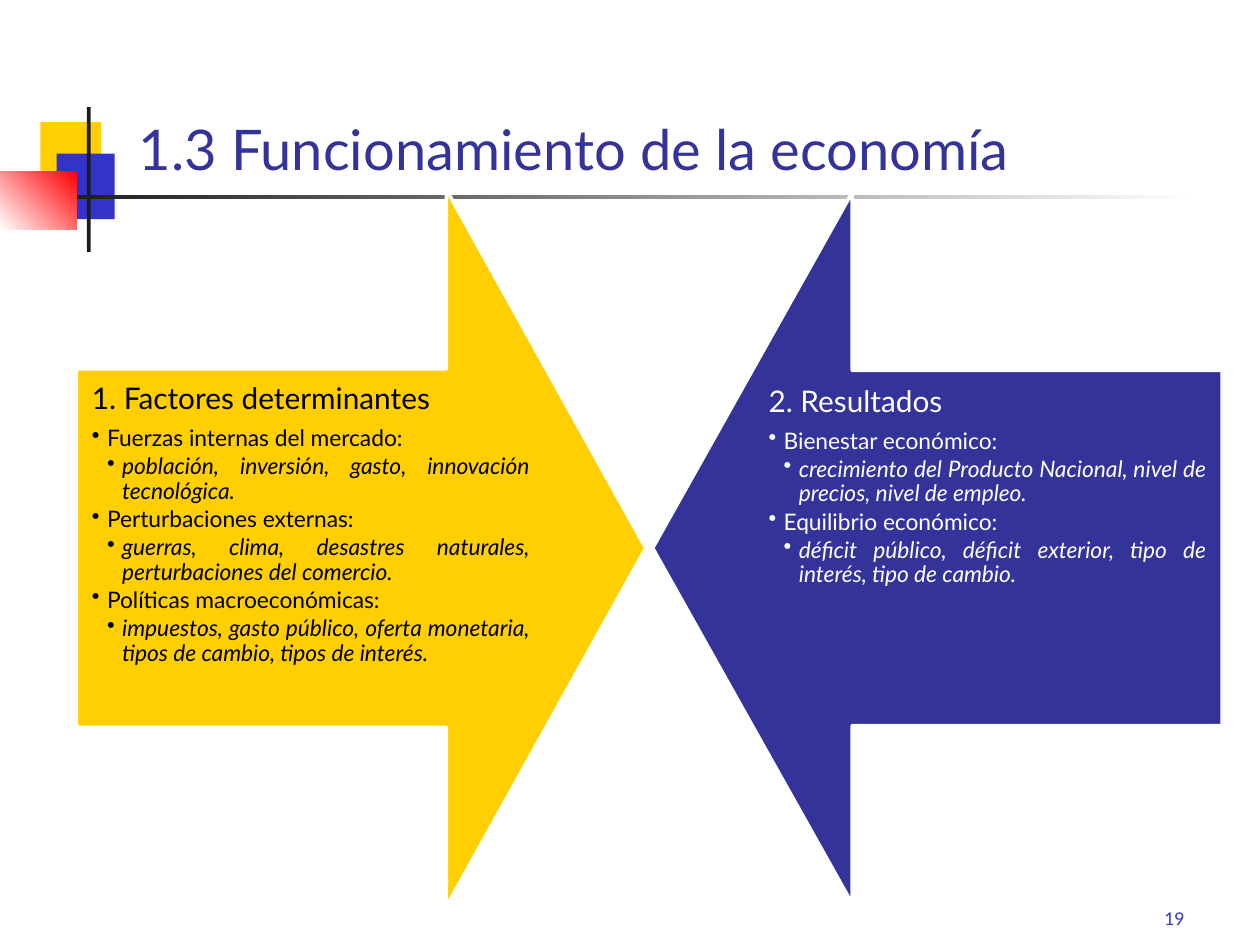
from dataclasses import dataclass

import pptx
import pptx.dml.color
import pptx.enum.shapes
import pptx.enum.text
import pptx.oxml
import pptx.oxml.ns
import pptx.util

Inches = pptx.util.Inches
Pt = pptx.util.Pt
Align = pptx.enum.text.PP_ALIGN
Anchor = pptx.enum.text.MSO_ANCHOR
Preset = pptx.enum.shapes.MSO_SHAPE

FONT = "Lato"
YELLOW, BLUE, NAVY = "FFCF01", "3333CC", "333399"
BLACK, WHITE, CHARCOAL, RED = "000000", "FFFFFF", "1C1C1C", "FF0000"
BULLET_STEP = 0.12


@dataclass(frozen=True)
class Box:
    left: float
    top: float
    width: float
    height: float

    def lengths(self) -> tuple:
        return tuple(Inches(v) for v in (self.left, self.top, self.width, self.height))


@dataclass(frozen=True)
class Ornament:
    box: Box
    colors: tuple[str, ...]
    angle: float = 0


@dataclass(frozen=True)
class Panel:
    arrow: Box
    rotation: int
    fill: str
    body: Box
    ink: str
    heading: str
    topics: tuple[tuple[str, str], ...]


ORNAMENTS = (
    Ornament(Box(0.32, 0.97, 0.48, 0.52), (YELLOW,)),
    Ornament(Box(0.45, 1.22, 0.46, 0.52), (BLUE,)),
    Ornament(Box(0.69, 0.85, 0.03, 1.15), (CHARCOAL,)),
    Ornament(Box(0.5, 1.55, 9, 0.03), (CHARCOAL, WHITE)),
    Ornament(Box(0, 1.36, 0.61, 0.46), (WHITE, RED), 45),
)

PANELS = (
    Panel(
        Box(0.02, 2.09, 5.69, 4.52), 270, YELLOW,
        Box(0.6, 2.92, 3.73, 2.85), BLACK,
        "1. Factores determinantes",
        (
            ("Fuerzas internas del mercado:",
             "población, inversión, gasto, innovación tecnológica."),
            ("Perturbaciones externas:",
             "guerras, clima, desastres naturales, perturbaciones del comercio."),
            ("Políticas macroeconómicas:",
             "impuestos, gasto público, oferta monetaria, tipos de cambio, tipos de interés."),
        ),
    ),
    Panel(
        Box(4.62, 2.09, 5.64, 4.52), 90, NAVY,
        Box(5.97, 2.94, 3.73, 2.82), WHITE,
        "2. Resultados",
        (
            ("Bienestar económico:",
             "crecimiento del Producto Nacional, nivel de precios, nivel de empleo."),
            ("Equilibrio económico:",
             "déficit público, déficit exterior, tipo de interés, tipo de cambio."),
        ),
    ),
)


def rgb(color: str) -> pptx.dml.color.RGBColor:
    return pptx.dml.color.RGBColor.from_string(color)


def write(frame, text: str, *, size: float, color: str, align=Align.LEFT,
          italic: bool = False, level: int = 0, line_spacing: float = 1.0,
          after: float = 0) -> None:
    paragraph = frame.paragraphs[0]
    if paragraph.runs:
        paragraph = frame.add_paragraph()
    paragraph.alignment = align
    paragraph.level = level
    paragraph.line_spacing = line_spacing
    paragraph.space_before = Pt(0)
    paragraph.space_after = Pt(after)
    if level:
        properties = paragraph._p.get_or_add_pPr()
        properties.set("marL", str(Inches(BULLET_STEP * level)))
        properties.set("indent", str(-Inches(BULLET_STEP)))
        bullet = pptx.oxml.parse_xml(
            f'<a:buChar {pptx.oxml.ns.nsdecls("a")} char="•"/>')
        properties.append(bullet)
    run = paragraph.add_run()
    run.text = text
    run.font.name = FONT
    run.font.size = Pt(size)
    run.font.italic = italic
    run.font.color.rgb = rgb(color)


def prepare_frame(shape, anchor, inset: float | None = None):
    frame = shape.text_frame
    frame.word_wrap = True
    frame.auto_size = pptx.enum.text.MSO_AUTO_SIZE.NONE
    frame.vertical_anchor = anchor
    if inset is not None:
        frame.margin_left = frame.margin_right = Inches(inset)
        frame.margin_top = frame.margin_bottom = Inches(inset)
    return frame


def draw_ornament(slide, ornament: Ornament) -> None:
    block = slide.shapes.add_shape(Preset.RECTANGLE, *ornament.box.lengths())
    block.shadow.inherit = False
    block.line.fill.background()
    if len(ornament.colors) == 1:
        block.fill.solid()
        block.fill.fore_color.rgb = rgb(ornament.colors[0])
    else:
        block.fill.gradient()
        block.fill.gradient_angle = ornament.angle
        for stop, color in zip(block.fill.gradient_stops, ornament.colors):
            stop.color.rgb = rgb(color)


def draw_panel(slide, panel: Panel) -> None:
    arrow = slide.shapes.add_shape(Preset.DOWN_ARROW, *panel.arrow.lengths())
    arrow.adjustments[0] = 0.5
    arrow.adjustments[1] = 0.35
    arrow.rotation = panel.rotation
    arrow.shadow.inherit = False
    arrow.fill.solid()
    arrow.fill.fore_color.rgb = rgb(panel.fill)
    arrow.line.color.rgb = rgb(WHITE)
    arrow.line.width = Pt(2)

    body = slide.shapes.add_textbox(*panel.body.lengths())
    frame = prepare_frame(body, Anchor.TOP, 0.13)
    shared = dict(color=panel.ink, align=Align.JUSTIFY, line_spacing=0.9)
    write(frame, panel.heading, size=17, after=6, **shared)
    for topic, examples in panel.topics:
        write(frame, topic, size=13, level=1, after=2, **shared)
        write(frame, examples, size=13, level=2, after=2, italic=True, **shared)


def main() -> None:
    deck = pptx.Presentation()
    deck.slide_width, deck.slide_height = Inches(10), Inches(7.5)
    slide = deck.slides.add_slide(deck.slide_layouts[5])

    for ornament in ORNAMENTS:
        draw_ornament(slide, ornament)

    heading = slide.shapes.title
    heading.left, heading.top, heading.width, heading.height = Box(1, 0.33, 8.5, 1.17).lengths()
    write(prepare_frame(heading, Anchor.BOTTOM), "1.3 Funcionamiento de la economía",
          size=32, color=NAVY, line_spacing=0.9)

    page_number = slide.shapes.add_textbox(*Box(7.42, 6.92, 2.08, 0.5).lengths())
    write(prepare_frame(page_number, Anchor.BOTTOM), "19",
          size=10, color=BLUE, align=Align.RIGHT)

    for panel in PANELS:
        draw_panel(slide, panel)

    deck.save("out.pptx")


if __name__ == "__main__":
    main()
